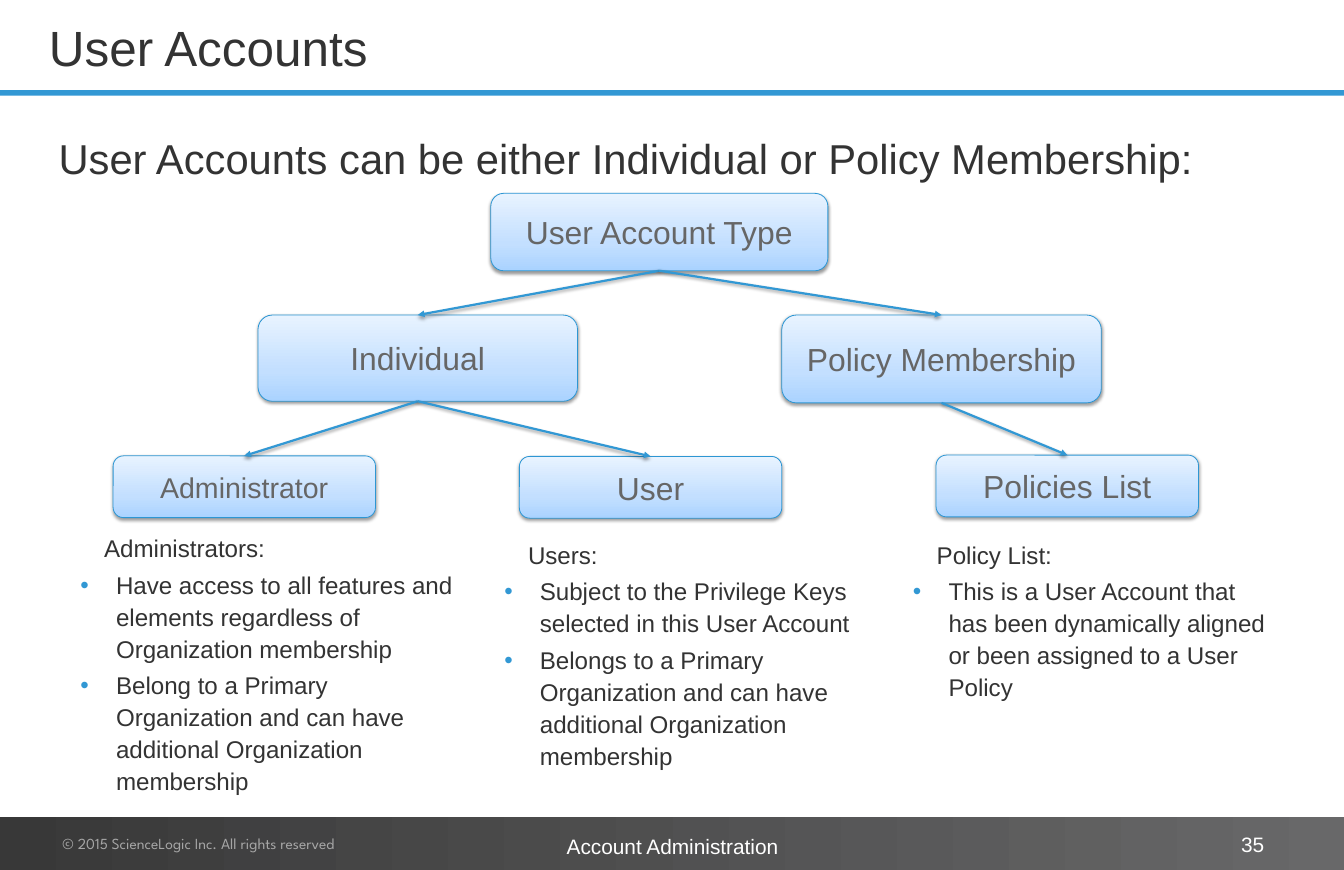
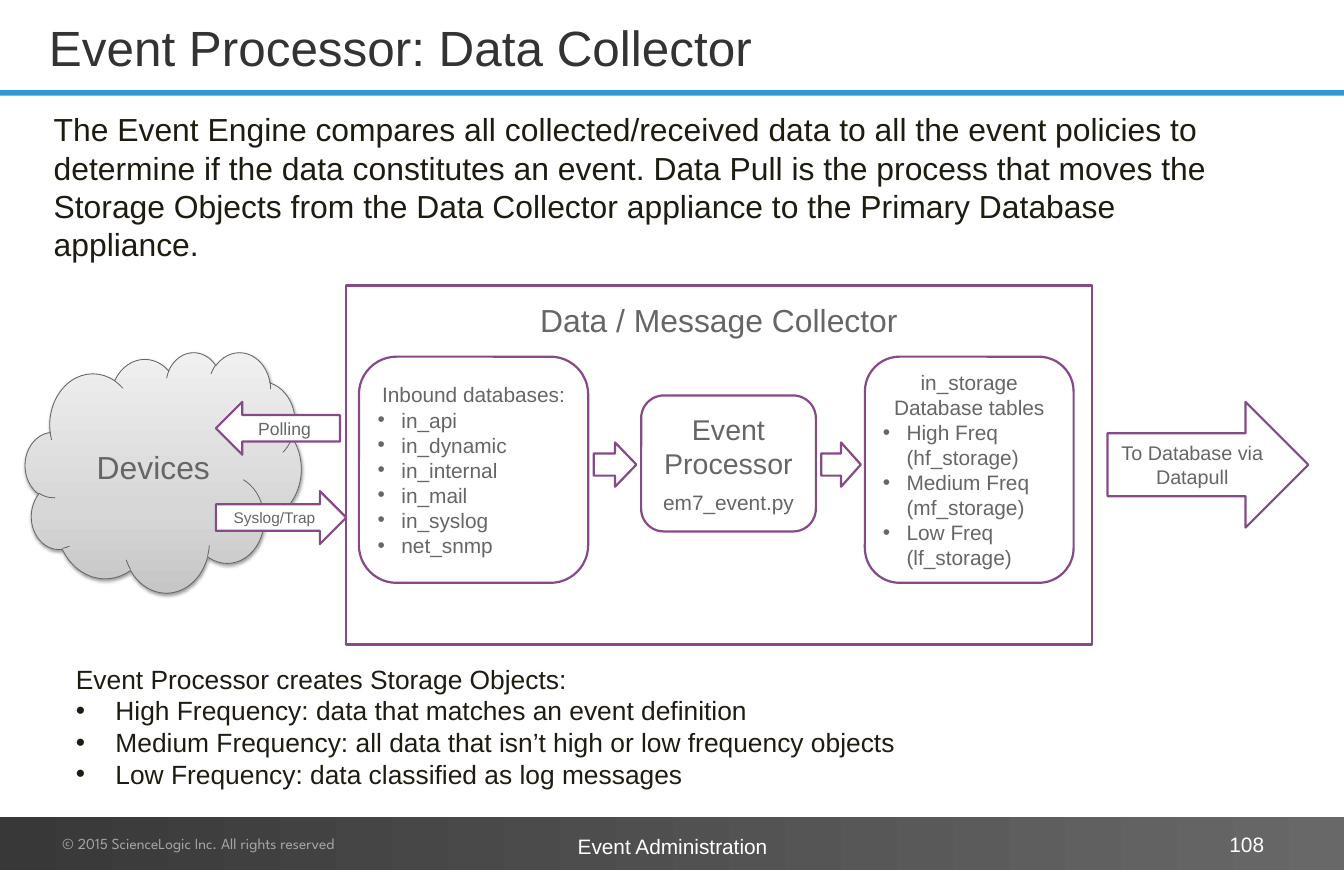
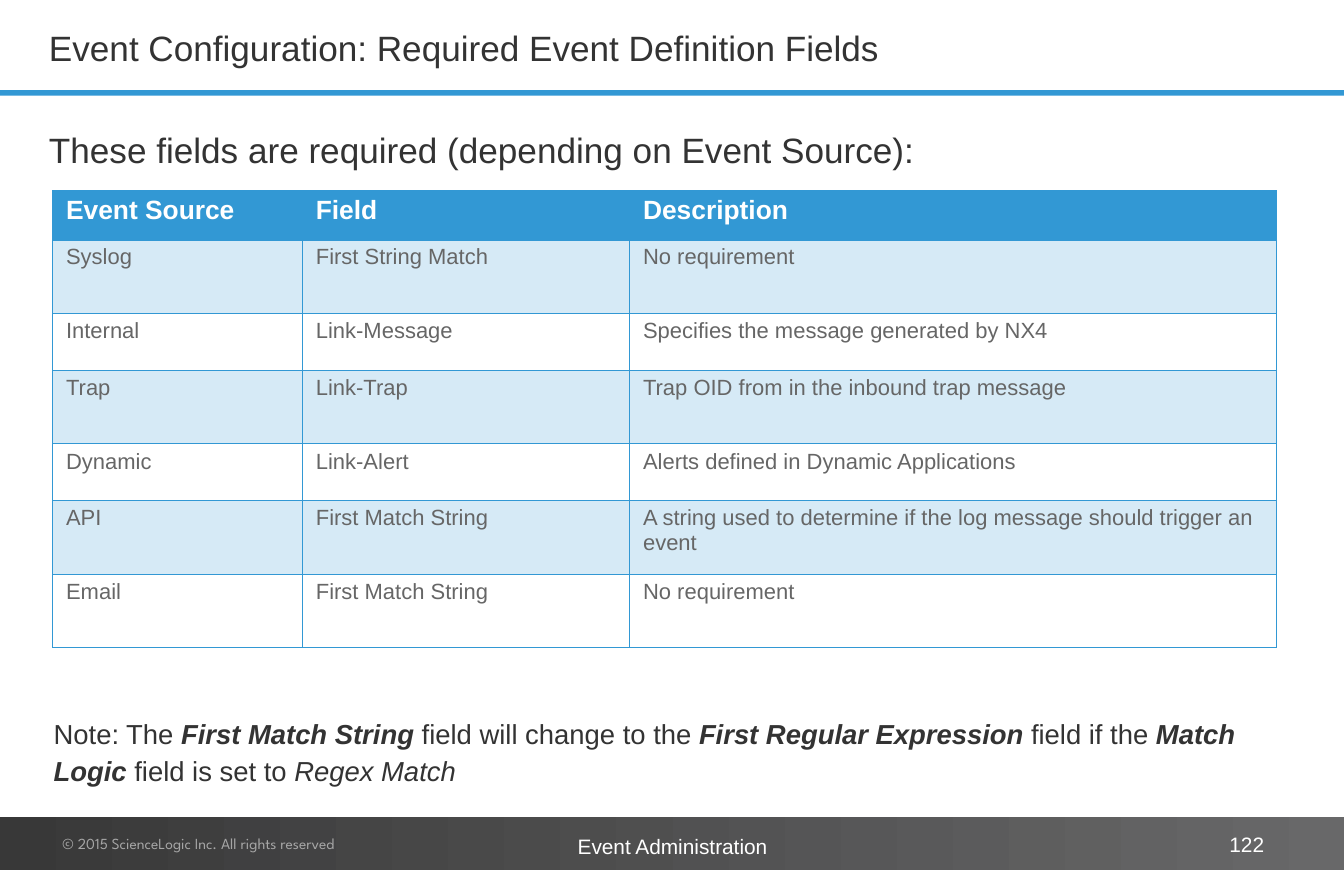
import copy

import lxml.etree
import pptx
import pptx.dml.color
import pptx.enum.shapes
import pptx.enum.text
import pptx.oxml.ns
import pptx.util

Pt = pptx.util.Pt
qn = pptx.oxml.ns.qn
SubElement = lxml.etree.SubElement
rgb = pptx.dml.color.RGBColor.from_string
KIND = pptx.enum.shapes.MSO_SHAPE
ALIGN = pptx.enum.text.PP_ALIGN
NO_FIT = pptx.enum.text.MSO_AUTO_SIZE.NONE

COLORS = {
    "blue": "3298D4", "box_line": "2D96D3", "pale_blue": "D6EAF6",
    "purple": "864A89", "white": "FFFFFF", "black": "000000",
    "text": "333333", "gray": "666666", "dark": "1E1C11",
    "copyright": "A6A6A6", "cloud_line": "646464",
}
FOOTER_STOPS = [(0, "383838"), (1, "686869")]
BOX_STOPS = [(0, "AAD3FF"), (0.35, "C3DFFF"), (1, "E8F3FF")]
CLOUD_STOPS = [(0, "C6C6C6"), (0.35, "D7D7D7"), (1, "F0F0F0")]


def write(frame, lines, size, color, align=ALIGN.LEFT, font="Arial", before=0,
          spacing=None, lead=0, margin=0, hang=0, bullet_color=None):
    """Fill a frame; a line is a string or a list of (text, bold, italic).

    A string that starts with "•" becomes a left-aligned bullet item.
    """
    for index, line in enumerate(lines):
        para = frame.add_paragraph() if index else frame.paragraphs[0]
        bulleted = line[0] == "•"
        props = para._p.get_or_add_pPr()
        props.set("marL", str(Pt(margin if bulleted else lead)))
        props.set("indent", str(-Pt(hang) if bulleted else 0))
        if bulleted:
            if bullet_color:
                tint = SubElement(props, qn("a:buClr"))
                SubElement(tint, qn("a:srgbClr"), val=COLORS[bullet_color])
            SubElement(props, qn("a:buFont"), typeface="Arial")
            SubElement(props, qn("a:buChar"), char="•")
            line = line[1:]
        else:
            SubElement(props, qn("a:buNone"))
        para.alignment = ALIGN.LEFT if bulleted else align
        para.space_before = Pt(before if index else 0)
        if spacing:
            para.line_spacing = spacing
        runs = [(line, False, False)] if isinstance(line, str) else line
        for text, bold, italic in runs:
            span = para.add_run()
            span.text = text
            span.font.name = font
            span.font.size = Pt(size)
            span.font.bold = bold
            span.font.italic = italic
            span.font.color.rgb = rgb(COLORS[color])


def add_box(page, kind, bounds, fill=None, line=None, weight=2, angle=90,
            inset=(11.5, 5.8)):
    """Add a preset shape, or a text box when kind is None.

    The fill is a colour name or a list of gradient stops.
    """
    bounds = [Pt(length) for length in bounds]
    if kind is None:
        box = page.shapes.add_textbox(*bounds)
    else:
        box = page.shapes.add_shape(kind, *bounds)
        box.shadow.inherit = False
        if isinstance(fill, str):
            box.fill.solid()
            box.fill.fore_color.rgb = rgb(COLORS[fill])
        else:
            box.fill.gradient()
            box.fill.gradient_angle = angle
            stop_list = box.element.spPr.find(".//" + qn("a:gsLst"))
            while len(stop_list) < len(fill):
                stop_list.append(copy.deepcopy(stop_list[0]))
            for stop, (position, color) in zip(box.fill.gradient_stops, fill):
                stop.position = position
                stop.color.rgb = rgb(color)
        if line:
            box.line.color.rgb = rgb(COLORS[line])
            box.line.width = Pt(weight)
        else:
            box.line.fill.background()
    frame = box.text_frame
    frame.word_wrap = True
    frame.margin_left = frame.margin_right = Pt(inset[0])
    frame.margin_top = frame.margin_bottom = Pt(inset[1])
    return box


deck = pptx.Presentation()
deck.slide_width, deck.slide_height = Pt(1224), Pt(792)
layout = deck.slide_layouts[1]
for holder in list(layout.placeholders)[2:]:
    layout.shapes.element.remove(holder.element)
title_holder = layout.placeholders[0]
title_holder.left, title_holder.top = Pt(37.4), Pt(0.7)
title_holder.width, title_holder.height = Pt(1069), Pt(84.2)

# Titles, footers and body placeholders
pages, bodies = [], []
for title, size, topic, number, body_bounds in [
    ("User Accounts", 45, "Account Administration", "35", (20.9, 112.7, 1090, 62)),
    ("Event Processor: Data Collector", 45, "Event Administration", "108",
     (61.9, 599.8, 1125, 128)),
    ("Event Configuration: Required Event Definition Fields", 32,
     "Event Administration", "122", (37.4, 109.4, 1125, 54)),
]:
    page = deck.slides.add_slide(layout)
    body = page.placeholders[1]
    body.left, body.top, body.width, body.height = [Pt(n) for n in body_bounds]
    body.text_frame.auto_size = NO_FIT
    pages.append(page)
    bodies.append(body.text_frame)
    if len(pages) == 1:
        # Bands and copyright line are moved to the layout, which all slides use
        rule = add_box(page, KIND.RECTANGLE, (0, 82.1, 1225, 5), "blue")
        band = add_box(page, KIND.RECTANGLE, (0, 743.8, 1225, 49.7),
                       FOOTER_STOPS, angle=0)
        rights = add_box(page, None, (45.4, 753.1, 360, 28.8))
        write(rights.text_frame, ["© 2015 ScienceLogic Inc. All rights reserved"],
              14, "copyright", font="League Spartan")
        for shared in (rule, band, rights):
            layout.shapes.element.append(shared.element)
    page.shapes.title.text_frame.auto_size = NO_FIT
    write(page.shapes.title.text_frame, [title], size, "text")
    topic_box = add_box(page, None, (477, 752.8, 271, 34))
    write(topic_box.text_frame, [topic], 19, "white", ALIGN.CENTER)
    number_box = add_box(page, None, (877, 753.1, 285.8, 31))
    number_box.text_frame.vertical_anchor = pptx.enum.text.MSO_ANCHOR.MIDDLE
    write(number_box.text_frame, [number], 19, "white", ALIGN.RIGHT)
accounts_page, collector_page, fields_page = pages
soft_shapes = []

# User Accounts: tree
write(bodies[0], ["User Accounts can be either Individual or Policy Membership:"],
      38, "text", spacing=1.1, lead=25.2)
tree = {}
for name, size, bounds in [
    ("User Account Type", 29, (447, 176, 307, 70.5)),
    ("Individual", 29, (235, 286.8, 291, 78.5)),
    ("Policy Membership", 29, (712, 286.8, 291, 80)),
    ("Administrator", 26, (103, 415, 239, 56.2)),
    ("User", 29, (473, 415.5, 239, 56.2)),
    ("Policies List", 29, (852.5, 414.3, 239, 56.2)),
]:
    box = add_box(accounts_page, KIND.ROUNDED_RECTANGLE, bounds, BOX_STOPS,
                  "box_line", 0.75, inset=(7.2, 3.6))
    write(box.text_frame, [name], size, "gray", ALIGN.CENTER)
    tree[name] = box
    soft_shapes.append(box)

for parent, child in [
    ("User Account Type", "Individual"),
    ("User Account Type", "Policy Membership"),
    ("Individual", "Administrator"),
    ("Individual", "User"),
    ("Policy Membership", "Policies List"),
]:
    arrow = accounts_page.shapes.add_connector(
        pptx.enum.shapes.MSO_CONNECTOR.STRAIGHT, 0, 0, 0, 0)
    arrow.begin_connect(tree[parent], 2)
    arrow.end_connect(tree[child], 0)
    arrow.line.color.rgb = rgb(COLORS["blue"])
    arrow.line.width = Pt(2)
    SubElement(arrow.line._get_or_add_ln(), qn("a:tailEnd"), type="triangle")
    soft_shapes.append(arrow)

for bounds, lines in [
    ((62.6, 479.6, 366.5, 245), [
        "Administrators:",
        "•Have access to all features and elements regardless of Organization membership",
        "•Belong to a Primary Organization and can have additional Organization membership"]),
    ((448.6, 485.4, 340.6, 233), [
        "Users:",
        "•Subject to the Privilege Keys selected in this User Account",
        "•Belongs to a Primary Organization and can have additional Organization membership"]),
    ((820.8, 485.4, 340.6, 233), [
        "Policy List:",
        "•This is a User Account that has been dynamically aligned or been assigned to a User Policy"]),
]:
    box = add_box(accounts_page, None, bounds, inset=(7.2, 3.6))
    write(box.text_frame, lines, 22, "text", before=4.4, spacing=1.1, lead=25.2,
          margin=36, hang=32.4, bullet_color="blue")

# Event Processor: data flow
write(bodies[1], [
    "Event Processor creates Storage Objects:",
    "•High Frequency: data that matches an event definition",
    "•Medium Frequency: all data that isn’t high or low frequency objects",
    "•Low Frequency: data classified as log messages",
], 24, "dark", margin=36, hang=36)
intro = add_box(collector_page, None, (37.4, 94.3, 1130.4, 146))
write(intro.text_frame, [
    "The Event Engine compares all collected/received data to all the event policies "
    "to determine if the data constitutes an event. Data Pull is the process that "
    "moves the Storage Objects from the Data Collector appliance to the Primary "
    "Database appliance."], 29, "dark")

cloud = add_box(collector_page, KIND.CLOUD, (23, 320.4, 251.3, 218.9), CLOUD_STOPS,
                "cloud_line", 0.75)
write(cloud.text_frame, ["Devices"], 29, "gray", ALIGN.CENTER)
soft_shapes.append(cloud)

for kind, bounds, text, size in [
    (KIND.LEFT_ARROW, (196.6, 365.8, 113, 48.2), "Polling", 16),
    (KIND.RIGHT_ARROW, (196.6, 447.1, 118.8, 48.2), "Syslog/Trap", 14),
    (KIND.RIGHT_ARROW, (1008.7, 365.8, 182.9, 114.5), "To Database via Datapull", 18),
]:
    arrow = add_box(collector_page, kind, bounds, "white", "purple")
    write(arrow.text_frame, [text], size, "gray", ALIGN.CENTER)

collector = add_box(collector_page, KIND.RECTANGLE, (315.4, 259.9, 679, 326.9),
                    "white", "purple", inset=(7.2, 13.4))
collector.text_frame.vertical_anchor = pptx.enum.text.MSO_ANCHOR.TOP
write(collector.text_frame, ["Data / Message Collector"], 29, "gray", ALIGN.CENTER)

processor = add_box(collector_page, KIND.ROUNDED_RECTANGLE, (583.9, 360, 159.1, 123.8),
                    "white", "purple", inset=(7.2, 3.6))
write(processor.text_frame, ["Event Processor", "em7_event.py"], 26, "gray",
      ALIGN.CENTER, before=9)
processor.text_frame.paragraphs[1].runs[0].font.size = Pt(19)

for left, width, lines in [
    (326.9, 208.8, ["Inbound databases:", "•in_api", "•in_dynamic", "•in_internal",
                    "•in_mail", "•in_syslog", "•net_snmp"]),
    (787.7, 190.1, ["in_storage Database tables", "•High Freq (hf_storage)",
                    "•Medium Freq (mf_storage)", "•Low Freq (lf_storage)"]),
]:
    box = add_box(collector_page, KIND.ROUNDED_RECTANGLE, (left, 324.7, width, 205.9),
                  "white", "purple", inset=(7.2, 3.6))
    write(box.text_frame, lines, 19, "gray", ALIGN.CENTER, margin=21.6, hang=21.6)

for left, width in [(540.7, 38.9), (748, 36)]:
    add_box(collector_page, KIND.RIGHT_ARROW, (left, 402.8, width, 40.3), "white", "purple")

# Required Event Definition Fields: table and note
write(bodies[2], ["These fields are required (depending on Event Source):"],
      32, "text", spacing=1.1)
rows = [
    (44.6, "Event Source", "Field", "Description"),
    (67, "Syslog", "First String Match", "No requirement"),
    (51.8, "Internal", "Link-Message", "Specifies the message generated by NX4"),
    (67, "Trap", "Link-Trap", "Trap OID from in the inbound trap message"),
    (51.8, "Dynamic", "Link-Alert", "Alerts defined in Dynamic Applications"),
    (67, "API", "First Match String",
     "A string used to determine if the log message should trigger an event"),
    (67, "Email", "First Match String", "No requirement"),
]
widths = [227.5, 298, 589.5]
table = fields_page.shapes.add_table(
    len(rows), len(widths), Pt(48), Pt(173.5), Pt(sum(widths)),
    Pt(sum(row[0] for row in rows))).table
table.horz_banding = False
for column, width in zip(table.columns, widths):
    column.width = Pt(width)
for row_index, (height, *texts) in enumerate(rows):
    table.rows[row_index].height = Pt(height)
    header = row_index == 0
    for column_index, text in enumerate(texts):
        cell = table.cell(row_index, column_index)
        cell.margin_left = cell.margin_right = Pt(12.2)
        cell.margin_top = cell.margin_bottom = Pt(5)
        for side in "LRTB":
            thick = header and side == "B"
            border = SubElement(cell._tc.get_or_add_tcPr(), qn("a:ln" + side),
                                w=str(Pt(2 if thick else 1)))
            paint = SubElement(border, qn("a:solidFill"))
            SubElement(paint, qn("a:srgbClr"), val=COLORS["blue"])
        if header or row_index % 2:
            cell.fill.solid()
            cell.fill.fore_color.rgb = rgb(COLORS["blue" if header else "pale_blue"])
        else:
            cell.fill.background()
        write(cell.text_frame, [[(text, header, False)]], 24 if header else 20,
              "white" if header else "gray")

note = add_box(fields_page, None, (37.4, 644.4, 1125.4, 92))
write(note.text_frame, [[
    ("Note: The ", False, False),
    ("First Match String ", True, True),
    ("field will change to the ", False, False),
    ("First Regular Expression ", True, True),
    ("field if the ", False, False),
    ("Match Logic", True, True),
    (" field is set to ", False, False),
    ("Regex Match", False, True),
]], 25, "text", spacing=1.1)

# Soft shadow below the tree and the cloud
for shape in soft_shapes:
    props = shape.element.spPr
    effects = props.find(qn("a:effectLst"))
    if effects is None:
        effects = SubElement(props, qn("a:effectLst"))
    shadow = SubElement(effects, qn("a:outerShdw"), blurRad=str(Pt(3.1)),
                        dist=str(Pt(1.6)), dir="5400000", rotWithShape="0")
    shade = SubElement(shadow, qn("a:srgbClr"), val=COLORS["black"])
    SubElement(shade, qn("a:alpha"), val="38000")

deck.save("out.pptx")
